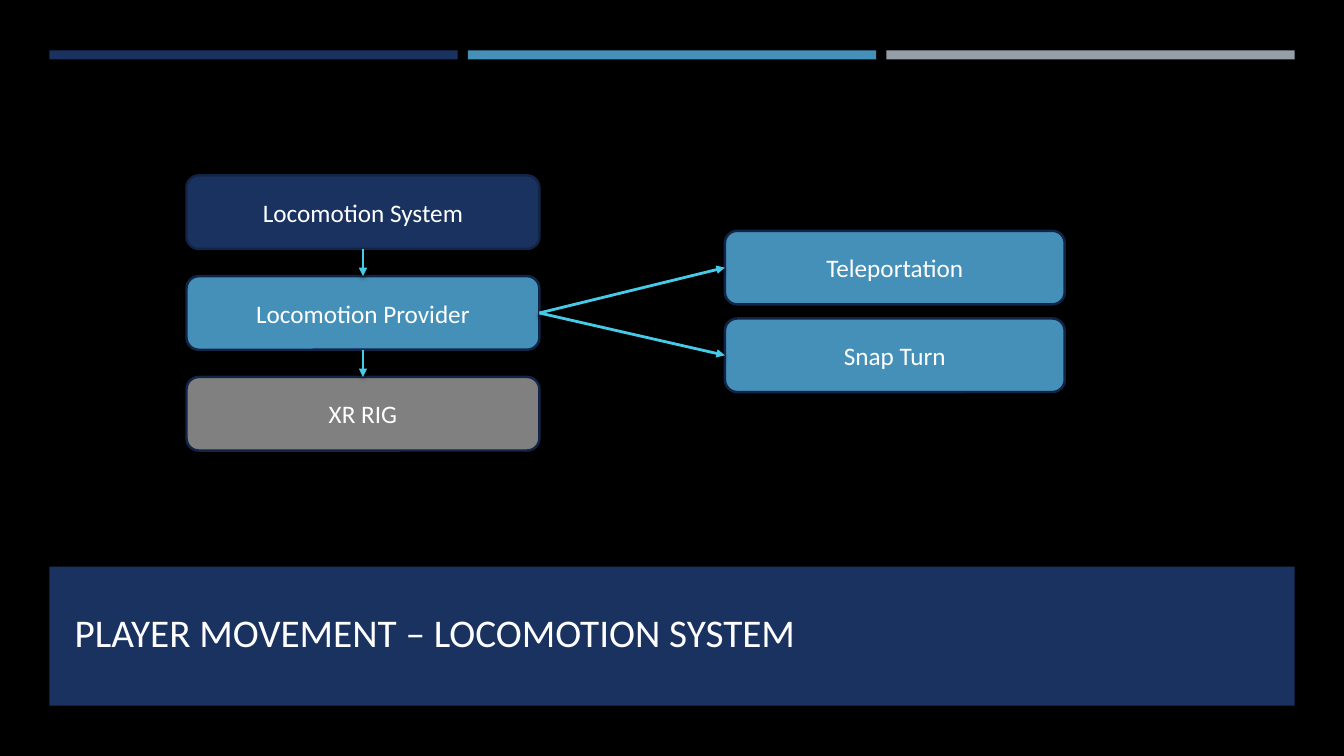
import pptx
import pptx.util
import pptx.dml.color
import pptx.enum.shapes
import pptx.enum.text
import pptx.oxml
import pptx.oxml.ns
from pptx.util import Inches

COLOURS = {
    "black": "000000",
    "navy": "1A3260",
    "blue": "4590B8",
    "silver": "969FA7",
    "grey": "808080",
    "outline": "132547",
    "arrow": "45CBE8",
    "title": "FFFEFF",
    "white": "FFFFFF",
}
SHAPES = pptx.enum.shapes.MSO_SHAPE
ALIGN = pptx.enum.text.PP_ALIGN
ANCHOR = pptx.enum.text.MSO_ANCHOR
TOP, LEFT, BOTTOM, RIGHT = range(4)


def colour(name):
    return pptx.dml.color.RGBColor.from_string(COLOURS[name])


class Sketch:
    font = "Calibri"

    def __init__(self, page):
        self.page = page

    def label(self, shape, text, size, ink, align, anchor):
        frame = shape.text_frame
        frame.text = text
        frame.word_wrap = True
        frame.vertical_anchor = anchor
        para = frame.paragraphs[0]
        para.alignment = align
        span = para.runs[0]
        span.font.name = self.font
        span.font.size = pptx.util.Pt(size)
        span.font.color.rgb = colour(ink)

    def panel(self, left, top, width, height, fill, kind=SHAPES.RECTANGLE):
        box = self.page.shapes.add_shape(
            kind, Inches(left), Inches(top), Inches(width), Inches(height))
        box.shadow.inherit = False
        box.fill.solid()
        box.fill.fore_color.rgb = colour(fill)
        box.line.fill.background()
        return box

    def title(self, text, left, top, width, height):
        box = self.page.shapes.title
        box.left, box.top = Inches(left), Inches(top)
        box.width, box.height = Inches(width), Inches(height)
        self.label(box, text, 28, "title", ALIGN.LEFT, ANCHOR.BOTTOM)
        box.text_frame.auto_size = pptx.enum.text.MSO_AUTO_SIZE.NONE
        box.element.getparent().append(box.element)

    def node(self, text, left, top, width, fill):
        box = self.panel(left, top, width, 0.73, fill, SHAPES.ROUNDED_RECTANGLE)
        box.line.color.rgb = colour("outline")
        box.line.width = pptx.util.Pt(1.75)
        self.label(box, text, 18, "white", ALIGN.CENTER, ANCHOR.MIDDLE)
        return box

    def arrow(self, start, start_side, end, end_side):
        line = self.page.shapes.add_connector(
            pptx.enum.shapes.MSO_CONNECTOR.STRAIGHT, 0, 0, 0, 0)
        line.begin_connect(start, start_side)
        line.end_connect(end, end_side)
        line.line.color.rgb = colour("arrow")
        line.line.width = pptx.util.Pt(2)
        names = pptx.oxml.ns.nsdecls("a")
        properties = line.element.spPr
        properties.find(pptx.oxml.ns.qn("a:ln")).append(
            pptx.oxml.parse_xml(f'<a:tailEnd {names} type="triangle"/>'))
        properties.append(pptx.oxml.parse_xml(
            f'<a:effectLst {names}><a:outerShdw blurRad="38100" dist="25400" '
            f'dir="5400000" rotWithShape="0"><a:srgbClr val="{COLOURS["black"]}">'
            '<a:alpha val="55000"/></a:srgbClr></a:outerShdw></a:effectLst>'))


def main():
    deck = pptx.Presentation()
    deck.slide_width, deck.slide_height = Inches(13.33), Inches(7.5)
    page = deck.slides.add_slide(deck.slide_layouts[5])
    page.background.fill.solid()
    page.background.fill.fore_color.rgb = colour("black")
    sketch = Sketch(page)

    for column, fill in enumerate(("navy", "blue", "silver")):
        sketch.panel(0.49 + column * 4.15, 0.5, 4.05, 0.1, fill)
    sketch.panel(0, 0.59, 13.33, 6.91, "black")
    sketch.panel(0.49, 5.62, 12.35, 1.38, "navy")
    sketch.title("PLAYER MOVEMENT – LOCOMOTION SYSTEM", 0.64, 5.76, 12.06, 0.79)

    chain = [
        sketch.node(text, 1.85, 1.74 + row, 3.5, fill)
        for row, (text, fill) in enumerate((
            ("Locomotion System", "navy"),
            ("Locomotion Provider", "blue"),
            ("XR RIG", "grey"),
        ))
    ]
    options = [
        sketch.node(text, 7.19, 2.29 + row * 0.87, 3.37, "blue")
        for row, text in enumerate(("Teleportation", "Snap Turn"))
    ]
    for upper, lower in zip(chain, chain[1:]):
        sketch.arrow(upper, BOTTOM, lower, TOP)
    for option in options:
        sketch.arrow(chain[1], RIGHT, option, LEFT)

    deck.save("out.pptx")


if __name__ == "__main__":
    main()
